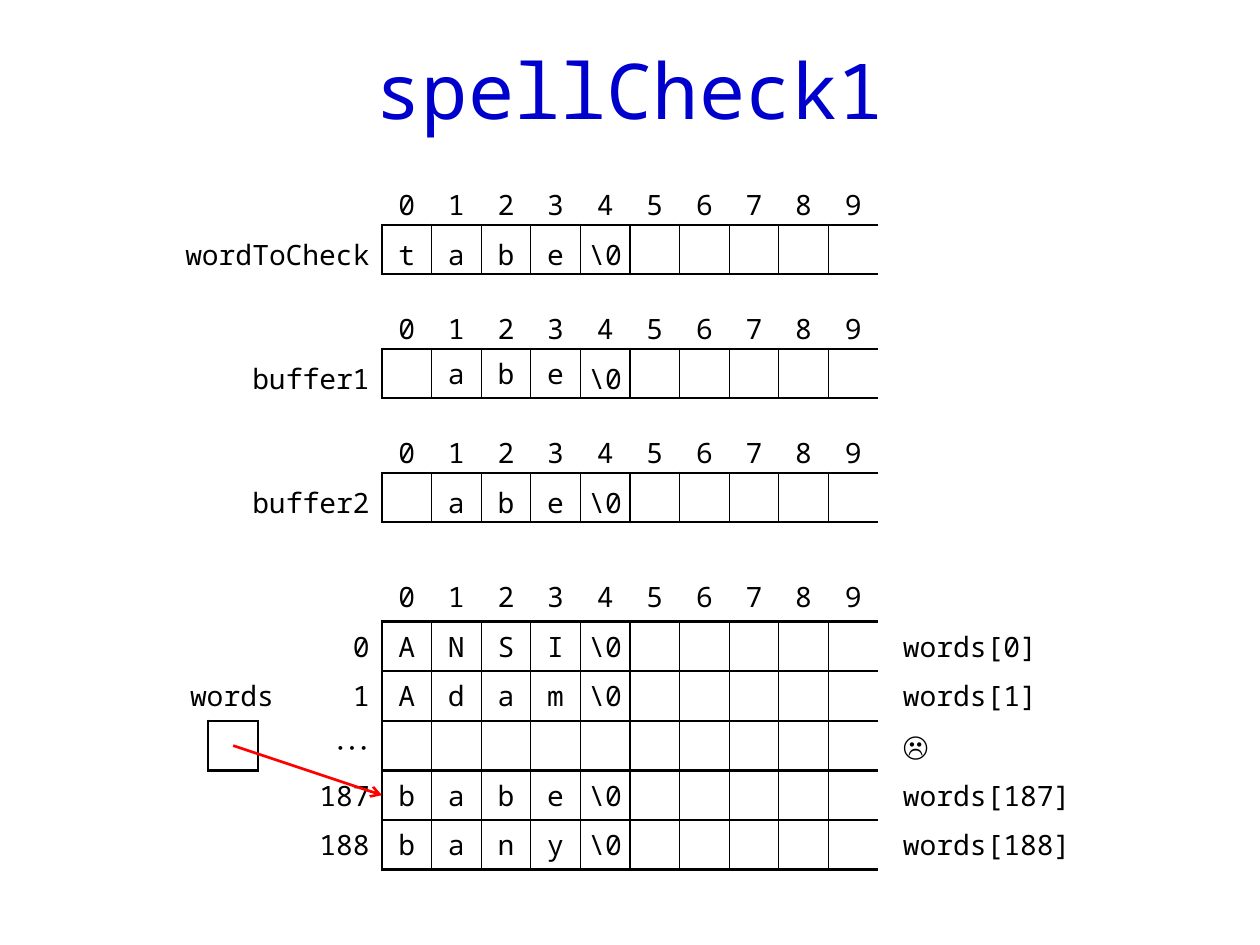
from collections.abc import Callable
from dataclasses import dataclass, replace

from lxml.etree import SubElement
from pptx import Presentation
from pptx.dml.color import RGBColor
from pptx.enum.shapes import MSO_CONNECTOR
from pptx.enum.text import MSO_ANCHOR, PP_ALIGN
from pptx.oxml.ns import qn
from pptx.slide import Slide
from pptx.util import Cm, Pt

BLACK = RGBColor(0x00, 0x00, 0x00)
BLUE = RGBColor(0x00, 0x00, 0xCC)
RED = RGBColor(0xFF, 0x00, 0x00)
MONO = "Noto Sans Mono"
SERIF = "Times New Roman"

SLOTS = 10
UNIT = 1
THICK = 1.5
THIN = 0.75
LOOSE = 1.25

Edge = Callable[[int, int], float]


@dataclass(frozen=True)
class Entry:
    text: str = ""
    align: PP_ALIGN = PP_ALIGN.CENTER
    spacing: float = 1.0
    left_inset: float = 0
    right_inset: float = 0
    font: str = MONO
    size: int = 16


@dataclass(frozen=True)
class Buffer:
    name: str
    top: float
    left: float
    letters: tuple[str, ...]
    letter_spacing: float = LOOSE


@dataclass(frozen=True)
class Word:
    index: Entry
    letters: tuple[str, ...]
    note: str


def label(text: str, spacing: float = 1.0) -> Entry:
    return Entry(text, PP_ALIGN.RIGHT, spacing, right_inset=0.25)


def slots(letters: tuple[str, ...], spacing: float = 1.0) -> list[Entry]:
    filled = [Entry(letter, spacing=spacing) for letter in letters]
    return filled + [Entry()] * (SLOTS - len(filled))


def slot_indices(spacing: float = 1.0) -> list[Entry]:
    return slots(tuple(str(n) for n in range(SLOTS)), spacing)


def array_vertical(row: int, column: int) -> float:
    if row == 0 or not 1 <= column <= SLOTS:
        return 0
    return THICK if column == 1 else THIN


def array_horizontal(row: int, column: int) -> float:
    return THICK if row >= 1 and 1 <= column <= SLOTS else 0


def no_edge(row: int, column: int) -> float:
    return 0


def thick_edge(row: int, column: int) -> float:
    return THICK


def set_border(cell, side: str, width: float) -> None:
    properties = cell._tc.get_or_add_tcPr()
    border = SubElement(properties, qn(f"a:{side}"), w=str(Pt(width)))
    if width:
        fill = SubElement(border, qn("a:solidFill"))
        SubElement(fill, qn("a:srgbClr"), val=str(BLACK))
    else:
        SubElement(border, qn("a:noFill"))


def write_entry(cell, entry: Entry) -> None:
    cell.margin_left = Cm(entry.left_inset)
    cell.margin_right = Cm(entry.right_inset)
    cell.margin_top = cell.margin_bottom = 0
    cell.vertical_anchor = MSO_ANCHOR.MIDDLE
    paragraph = cell.text_frame.paragraphs[0]
    if entry.text:
        paragraph.text = entry.text
    paragraph.alignment = entry.align
    paragraph.line_spacing = entry.spacing
    paragraph.font.name = entry.font
    paragraph.font.size = Pt(entry.size)
    paragraph.font.color.rgb = BLACK


def draw_table(slide: Slide, left: float, top: float, widths: list[float],
               rows: list[list[Entry]], vertical: Edge, horizontal: Edge) -> None:
    table = slide.shapes.add_table(
        len(rows), len(widths), Cm(left), Cm(top),
        Cm(sum(widths)), Cm(UNIT * len(rows))).table
    table.first_row = table.horz_banding = False
    for column, width in zip(table.columns, widths):
        column.width = Cm(width)
    for r, entries in enumerate(rows):
        table.rows[r].height = Cm(UNIT)
        for c, entry in enumerate(entries):
            cell = table.cell(r, c)
            write_entry(cell, entry)
            set_border(cell, "lnL", vertical(r, c))
            set_border(cell, "lnR", vertical(r, c + 1))
            set_border(cell, "lnT", horizontal(r, c))
            set_border(cell, "lnB", horizontal(r + 1, c))
            cell.fill.background()


def draw_buffer(slide: Slide, buffer: Buffer) -> None:
    letters = slots(buffer.letters, buffer.letter_spacing)
    letters[4] = replace(letters[4], spacing=LOOSE)
    rows = [[Entry(), *slot_indices(LOOSE)],
            [label(buffer.name, LOOSE), *letters]]
    widths = [ARRAY_LEFT - buffer.left] + [UNIT] * SLOTS
    draw_table(slide, buffer.left, buffer.top, widths, rows,
               array_vertical, array_horizontal)


def draw_words(slide: Slide, words: list[Word]) -> None:
    index_width, note_width = 1.5, 4.5
    rows = [[Entry(), *slot_indices(), Entry()]]
    for word in words:
        note = Entry(word.note, PP_ALIGN.LEFT, left_inset=0.5, right_inset=0.25)
        rows.append([word.index, *slots(word.letters), note])
    widths = [index_width] + [UNIT] * SLOTS + [note_width]
    draw_table(slide, ARRAY_LEFT - index_width, WORDS_TOP, widths, rows,
               array_vertical, array_horizontal)


def draw_pointer(slide: Slide, left: float, top: float, target_y: float) -> None:
    draw_table(slide, left, top, [UNIT], [[Entry()]], thick_edge, thick_edge)
    arrow = slide.shapes.add_connector(
        MSO_CONNECTOR.STRAIGHT, Cm(left + UNIT / 2), Cm(top + UNIT / 2),
        Cm(ARRAY_LEFT), Cm(target_y))
    arrow.line.color.rgb = RED
    arrow.line.width = Pt(THICK)
    properties = arrow._element.spPr
    SubElement(properties.find(qn("a:ln")), qn("a:tailEnd"), type="arrow")
    SubElement(properties, qn("a:effectLst"))


def draw_title(slide: Slide, text: str) -> None:
    title = slide.shapes.title
    title.left, title.top, title.width, title.height = Cm(1.2), Cm(0.53), Cm(23), Cm(2.5)
    title.text_frame.vertical_anchor = MSO_ANCHOR.MIDDLE
    paragraph = title.text_frame.paragraphs[0]
    paragraph.text = text
    paragraph.alignment = PP_ALIGN.CENTER
    paragraph.font.name = MONO
    paragraph.font.size = Pt(44)
    paragraph.font.color.rgb = BLUE


ARRAY_LEFT = 7.7
WORDS_TOP = 11.53

BUFFERS = [
    Buffer("wordToCheck", 3.53, 3.2, ("t", "a", "b", "e", "\\0")),
    Buffer("buffer1", 6.03, 4.7, ("", "a", "b", "e", "\\0"), letter_spacing=1.0),
    Buffer("buffer2", 8.53, 4.7, ("", "a", "b", "e", "\\0")),
]

WORDS = [
    Word(label("0"), ("A", "N", "S", "I", "\\0"), "words[0]"),
    Word(label("1"), ("A", "d", "a", "m", "\\0"), "words[1]"),
    Word(replace(label("⋯"), font=SERIF, size=20), (), "☹"),
    Word(label("187"), ("b", "a", "b", "e", "\\0"), "words[187]"),
    Word(label("188"), ("b", "a", "n", "y", "\\0"), "words[188]"),
]


def main() -> None:
    presentation = Presentation()
    presentation.slide_width, presentation.slide_height = Cm(25.4), Cm(19.05)
    slide = presentation.slides.add_slide(presentation.slide_layouts[5])
    draw_title(slide, "spellCheck1")
    for buffer in BUFFERS:
        draw_buffer(slide, buffer)
    draw_words(slide, WORDS)
    draw_pointer(slide, 4.2, WORDS_TOP + 3 * UNIT, WORDS_TOP + 4.5 * UNIT)
    pointer_name = Entry("words", left_inset=0.2, right_inset=0.25)
    draw_table(slide, 3.2, WORDS_TOP + 2 * UNIT, [3], [[pointer_name]], no_edge, no_edge)
    presentation.save("out.pptx")


if __name__ == "__main__":
    main()
